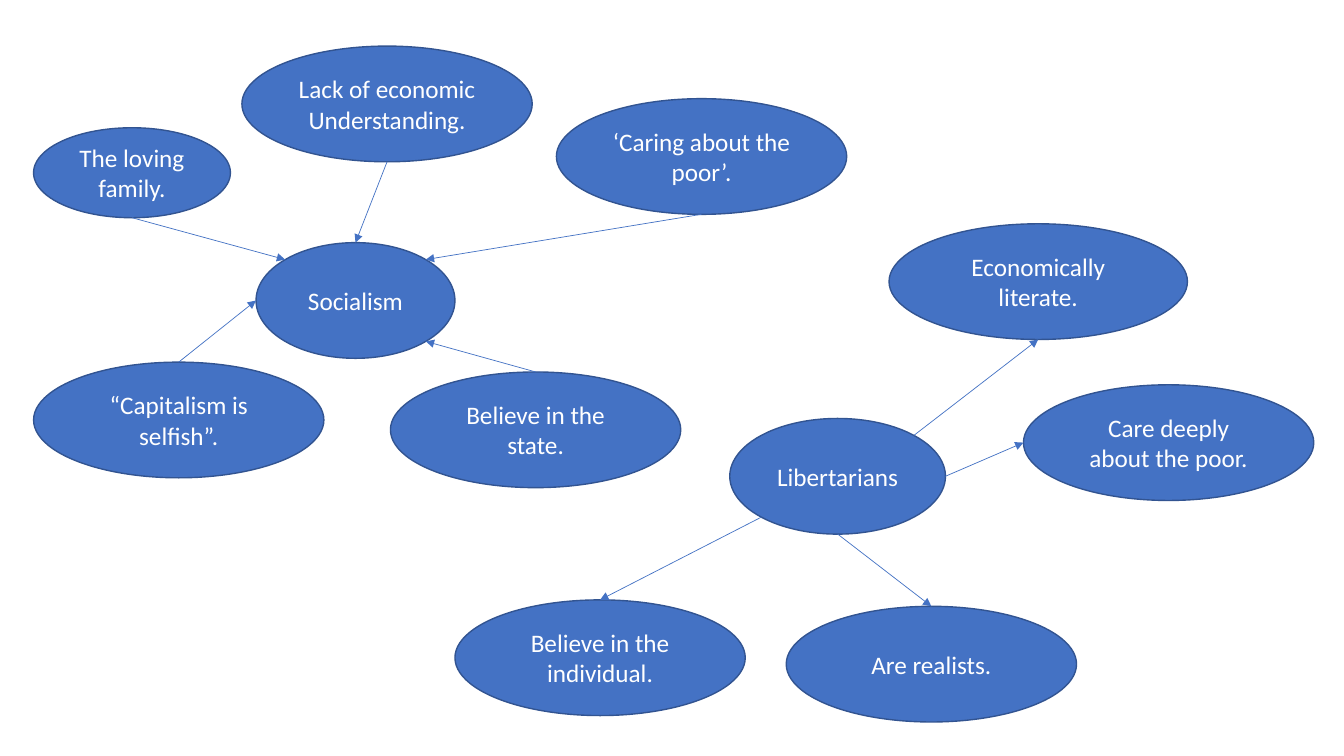
from dataclasses import dataclass
from enum import IntEnum
from math import cos, radians, sin

from lxml.etree import SubElement
from pptx import Presentation
from pptx.dml.color import RGBColor
from pptx.enum.shapes import MSO_CONNECTOR, MSO_SHAPE
from pptx.enum.text import MSO_ANCHOR, PP_ALIGN
from pptx.oxml.ns import qn
from pptx.shapes.autoshape import Shape
from pptx.util import Inches, Pt

WIDE, HIGH = Inches(13.33), Inches(7.5)
BLUE, EDGE, WHITE = "4472C4", "325491", "FFFFFF"


class Site(IntEnum):
    """Joining points of an ellipse, counted anticlockwise from the top."""
    TOP = 0
    TOP_LEFT = 1
    LEFT = 2
    LOW_LEFT = 3
    LOW = 4
    LOW_RIGHT = 5
    RIGHT = 6
    TOP_RIGHT = 7


@dataclass(frozen=True)
class Bubble:
    """An ellipse with its place and size in percent of the slide."""
    text: str
    left: float
    top: float
    width: float = 21.6
    height: float = 15.3


@dataclass(frozen=True)
class Arrow:
    """An arrow between joining points of two named bubbles."""
    start: str
    leave: Site
    end: str
    reach: Site


BUBBLES = {
    "social": Bubble("Socialism", 19.05, 32.1, width=14.8),
    "family": Bubble("The loving family.", 2.5, 16.9, width=14.65, height=11.9),
    "caring": Bubble("‘Caring about the poor’.", 41.4, 13.05),
    "lack": Bubble("Lack of economic Understanding.", 18, 6.1),
    "selfish": Bubble("“Capitalism is selfish”.", 2.5, 47.9),
    "state": Bubble("Believe in the state.", 29.05, 49.2),
    "liberty": Bubble("Libertarians", 54.3, 55.35, width=16.05),
    "literate": Bubble("Economically literate.", 66.15, 29.6, width=22.2),
    "deeply": Bubble("Care deeply about the poor.", 76.15, 50.9),
    "real": Bubble("Are realists.", 58.5, 80.2),
    "single": Bubble("Believe in the individual.", 33.85, 79.35),
}

ARROWS = [
    Arrow("family", Site.LOW, "social", Site.TOP_LEFT),
    Arrow("caring", Site.LOW, "social", Site.TOP_RIGHT),
    Arrow("lack", Site.LOW, "social", Site.TOP),
    Arrow("selfish", Site.TOP, "social", Site.LEFT),
    Arrow("state", Site.TOP, "social", Site.LOW_RIGHT),
    Arrow("liberty", Site.LOW_LEFT, "single", Site.TOP),
    Arrow("liberty", Site.LOW, "real", Site.TOP),
    Arrow("liberty", Site.RIGHT, "deeply", Site.LEFT),
    Arrow("liberty", Site.TOP_RIGHT, "literate", Site.LOW),
]


def color(code: str) -> RGBColor:
    """Turn a hex string into a colour."""
    return RGBColor.from_string(code)


def across(share: float) -> int:
    """Turn a percentage of the slide's width into a length."""
    return round(WIDE * share / 100)


def down(share: float) -> int:
    """Turn a percentage of the slide's height into a length."""
    return round(HIGH * share / 100)


def write(shape: Shape, text: str, *, size: float = 18, font: str = "Calibri",
          ink: str = WHITE, align: PP_ALIGN = PP_ALIGN.CENTER) -> None:
    """Put formatted text into a shape."""
    frame = shape.text_frame
    frame.word_wrap = True
    frame.vertical_anchor = MSO_ANCHOR.MIDDLE
    para = frame.paragraphs[0]
    para.alignment = align
    run = para.add_run()
    run.text = text
    run.font.size = Pt(size)
    run.font.name = font
    run.font.color.rgb = color(ink)


def draw_bubble(slide, item: Bubble) -> Shape:
    """Draw one ellipse with its text."""
    shape = slide.shapes.add_shape(
        MSO_SHAPE.OVAL, across(item.left), down(item.top),
        across(item.width), down(item.height))
    shape.shadow.inherit = False
    shape.fill.solid()
    shape.fill.fore_color.rgb = color(BLUE)
    shape.line.color.rgb = color(EDGE)
    shape.line.width = Pt(1)
    write(shape, item.text)
    return shape


def point(shape: Shape, site: Site) -> tuple[int, int]:
    """Find where a joining point lies on an ellipse."""
    turn = radians(90 + 45 * site)
    return (round(shape.left + shape.width * (1 + cos(turn)) / 2),
            round(shape.top + shape.height * (1 - sin(turn)) / 2))


def draw_arrow(slide, start: Shape, leave: Site, end: Shape, reach: Site) -> None:
    """Draw an arrow joined to two ellipses."""
    line = slide.shapes.add_connector(
        MSO_CONNECTOR.STRAIGHT, *point(start, leave), *point(end, reach))
    line.line.color.rgb = color(BLUE)
    line.line.width = Pt(0.5)
    node = line._element
    joints = node.nvCxnSpPr.cNvCxnSpPr
    for tag, shape, site in (("a:stCxn", start, leave), ("a:endCxn", end, reach)):
        SubElement(joints, qn(tag), id=str(shape.shape_id), idx=str(site.value))
    SubElement(line.line._get_or_add_ln(), qn("a:tailEnd"), type="triangle")
    SubElement(node.spPr, qn("a:effectLst"))


def main() -> None:
    """Build and save the slide."""
    deck = Presentation()
    deck.slide_width, deck.slide_height = WIDE, HIGH
    slide = deck.slides.add_slide(deck.slide_layouts[6])
    shapes = {name: draw_bubble(slide, item) for name, item in BUBBLES.items()}
    for item in ARROWS:
        draw_arrow(slide, shapes[item.start], item.leave,
                   shapes[item.end], item.reach)
    deck.save("out.pptx")


if __name__ == "__main__":
    main()
